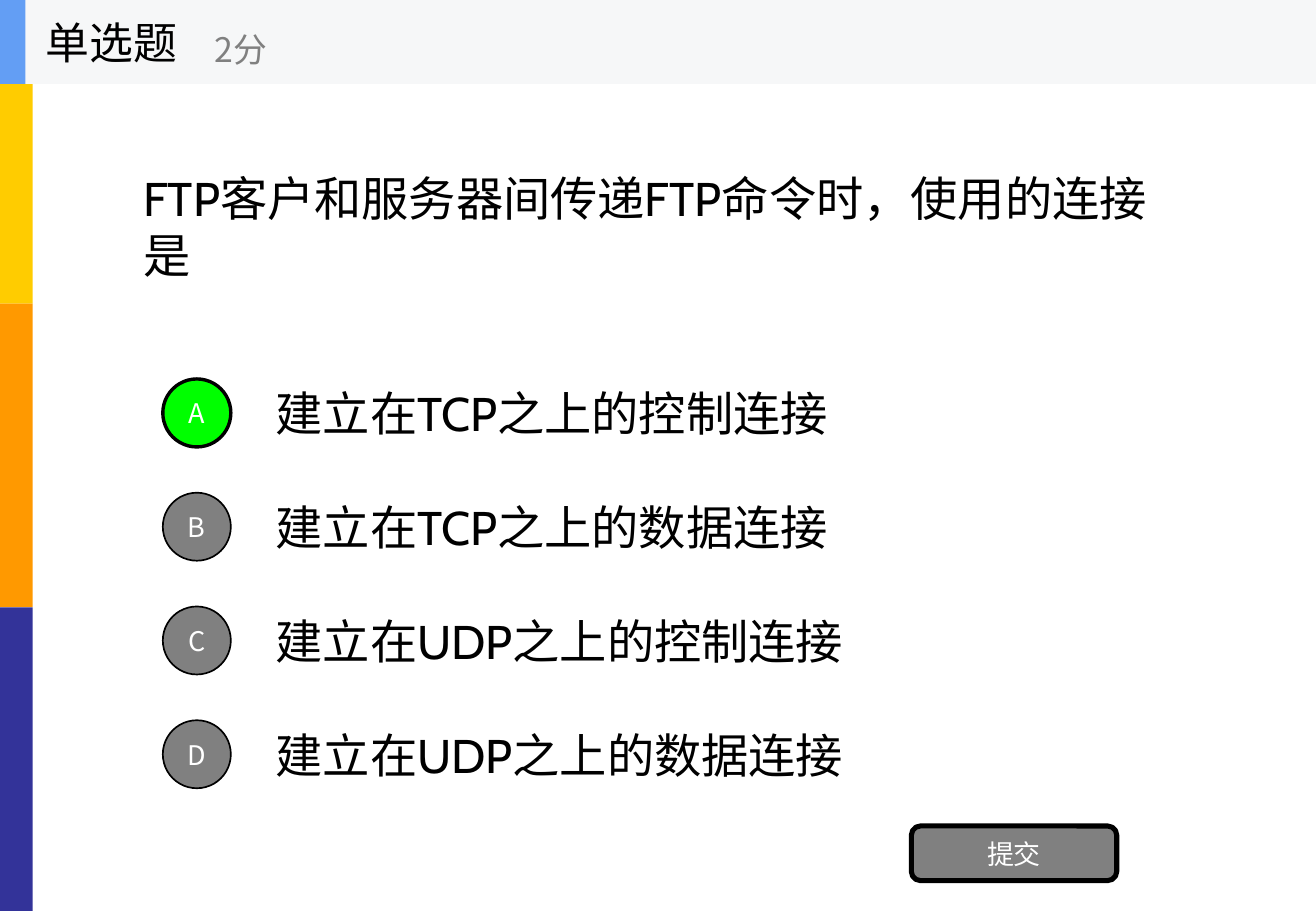
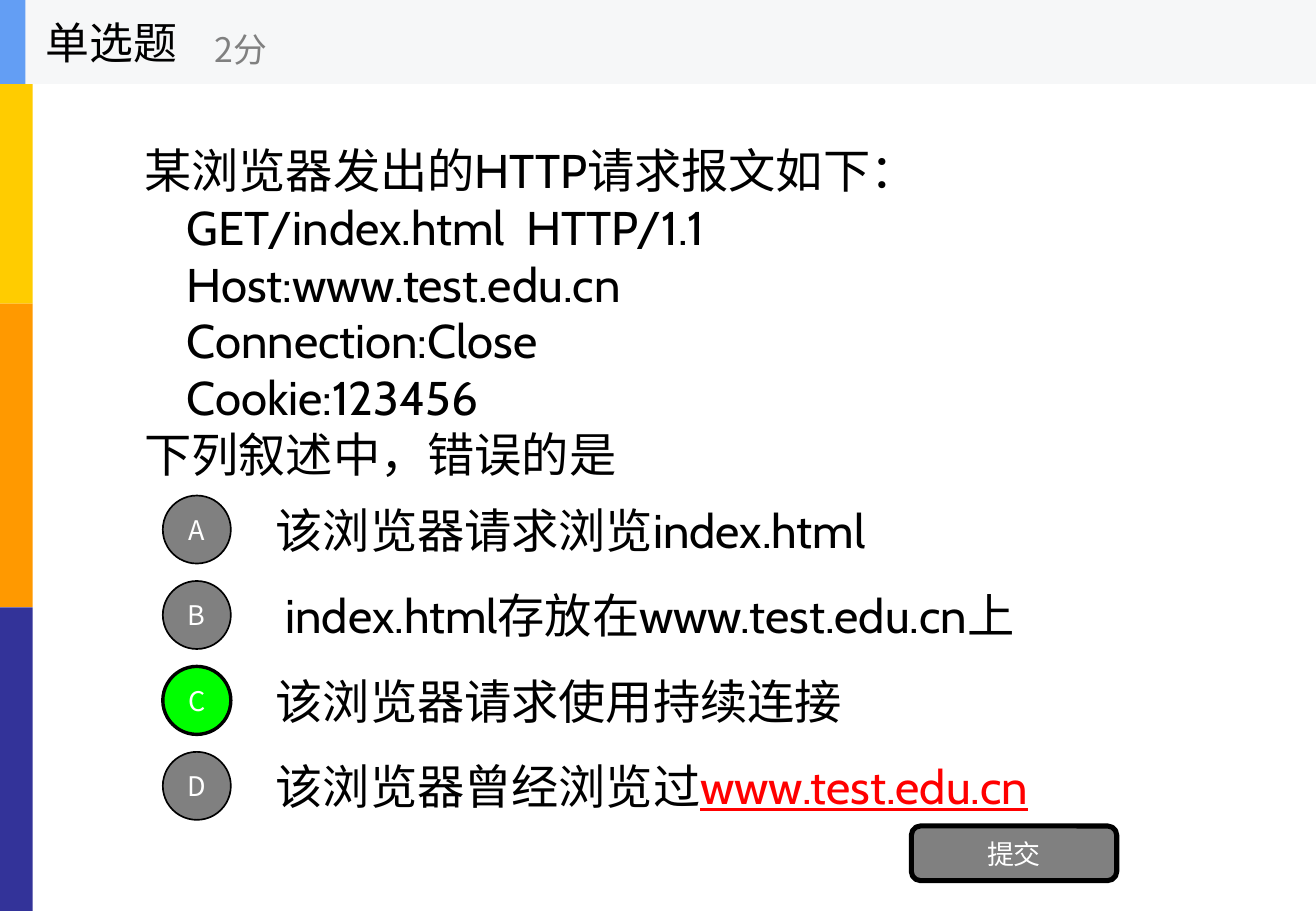
"""Builds two single-choice quiz slides on FTP and HTTP."""
from pptx import Presentation
from pptx.dml.color import RGBColor
from pptx.enum.shapes import MSO_SHAPE
from pptx.enum.text import MSO_ANCHOR, PP_ALIGN
from pptx.oxml.ns import qn
from pptx.util import Inches, Pt

BLACK = RGBColor(0x00, 0x00, 0x00)
WHITE = RGBColor(0xFF, 0xFF, 0xFF)
GRAY = RGBColor(0x80, 0x80, 0x80)
GREEN = RGBColor(0x00, 0xFF, 0x00)
RED = RGBColor(0xFF, 0x00, 0x00)
BLUE = RGBColor(0x63, 0x9E, 0xF4)
HEADER_BG = RGBColor(0xF6, 0xF7, 0xF8)
SIDE_BARS = [RGBColor(0xFF, 0xCC, 0x00), RGBColor(0xFF, 0x99, 0x00), RGBColor(0x33, 0x33, 0x99)]

SANS = "Noto Sans CJK SC"
BODY = {"name": "Cabin", "size": Pt(28), "color": BLACK}
LINK = {**BODY, "color": RED, "underline": True}
BUTTON = {"name": SANS, "size": Pt(16), "color": WHITE}
TITLE = {"name": SANS, "size": Pt(26), "color": BLACK}
POINTS = {"name": SANS, "size": Pt(20), "color": GRAY}

SLIDE_W, SLIDE_H = 10.83, 7.5
HEADER_H = 0.69
OPTION_H, CIRCLE = 0.7, 0.56
INSET = 0.1

QUIZZES = [
    {
        "question": ["FTP客户和服务器间传递FTP命令时，使用的连接是"],
        "box": (1.08, 0.69, 8.67, 2.34),
        "options": [
            [("建立在TCP之上的控制连接", BODY)],
            [("建立在TCP之上的数据连接", BODY)],
            [("建立在UDP之上的控制连接", BODY)],
            [("建立在UDP之上的数据连接", BODY)],
        ],
        "span": (3.05, 5.86),
        "answer": "A",
        "indents": {},
    },
    {
        "question": [
            "某浏览器发出的HTTP请求报文如下：",
            "    GET/index.html  HTTP/1.1",
            "    Host:www.test.edu.cn",
            "    Connection:Close",
            "    Cookie:123456",
            "下列叙述中，错误的是",
        ],
        "box": (1.09, 1.15, 8.67, 2.83),
        "options": [
            [("该浏览器请求浏览index.html", BODY)],
            [("index.html存放在www.test.edu.cn上", BODY)],
            [("该浏览器请求使用持续连接", BODY)],
            [("该浏览器曾经浏览过", BODY), ("www.test.edu.cn", LINK)],
        ],
        "span": (4.01, 6.12),
        "answer": "C",
        "indents": {"B": 0.08},
    },
]


def add_run(p, text, style):
    r = p.add_run()
    r.text = text
    for key, value in style.items():
        if key == "color":
            r.font.color.rgb = value
        else:
            setattr(r.font, key, value)
    ea = r.font._element.makeelement(qn("a:ea"), {"typeface": style["name"]})
    r.font._element.find(qn("a:latin")).addnext(ea)


def add_text(shapes, box, paragraphs, indent=0):
    tf = shapes.add_textbox(*map(Inches, box)).text_frame
    tf.word_wrap = True
    tf.vertical_anchor = MSO_ANCHOR.MIDDLE
    tf.margin_left = Inches(INSET + indent)
    for i, runs in enumerate(paragraphs):
        p = tf.add_paragraph() if i else tf.paragraphs[0]
        for text, style in runs:
            add_run(p, text, style)


def add_block(shapes, kind, box, fill, line=0, label=""):
    sp = shapes.add_shape(kind, *map(Inches, box))
    sp.shadow.inherit = False
    sp.fill.solid()
    sp.fill.fore_color.rgb = fill
    if line:
        sp.line.color.rgb = BLACK
        sp.line.width = Pt(line)
    else:
        sp.line.fill.background()
    if label:
        tf = sp.text_frame
        tf.margin_left = tf.margin_right = tf.margin_top = tf.margin_bottom = 0
        tf.vertical_anchor = MSO_ANCHOR.MIDDLE
        p = tf.paragraphs[0]
        p.alignment = PP_ALIGN.CENTER
        add_run(p, label, BUTTON)


def add_side_bars(shapes):
    h = SLIDE_H / len(SIDE_BARS)
    for i, color in enumerate(SIDE_BARS):
        add_block(shapes, MSO_SHAPE.RECTANGLE, (0, i * h, 0.27, h), color)


def add_header(shapes):
    group = shapes.add_group_shape().shapes
    for width, color in [(SLIDE_W, HEADER_BG), (0.21, BLUE)]:
        add_block(group, MSO_SHAPE.RECTANGLE, (0, 0, width, HEADER_H), color)
    add_text(group, (0.28, 0, 2.08, HEADER_H), [[("单选题", TITLE)]])
    add_text(group, (1.67, 0.12, 2.5, 0.56), [[("2分", POINTS)]])


def add_options(shapes, quiz):
    first, last = quiz["span"]
    step = (last - first) / (len(quiz["options"]) - 1)
    for i, (letter, runs) in enumerate(zip("ABCD", quiz["options"])):
        top = first + i * step
        add_text(shapes, (2.17, top, 7.58, OPTION_H), [runs], quiz["indents"].get(letter, 0))
        fill, line = (GREEN, 2) if letter == quiz["answer"] else (GRAY, 1)
        circle = (1.34, top + (OPTION_H - CIRCLE) / 2, CIRCLE, CIRCLE)
        add_block(shapes, MSO_SHAPE.OVAL, circle, fill, line, letter)


def main():
    prs = Presentation()
    prs.slide_width, prs.slide_height = Inches(SLIDE_W), Inches(SLIDE_H)
    for quiz in QUIZZES:
        shapes = prs.slides.add_slide(prs.slide_layouts[6]).shapes
        add_side_bars(shapes)
        add_text(shapes, quiz["box"], [[(line, BODY)] for line in quiz["question"]])
        add_options(shapes, quiz)
        add_block(shapes, MSO_SHAPE.ROUNDED_RECTANGLE, (7.5, 6.8, 1.69, 0.45), GRAY, 3, "提交")
        add_header(shapes)
    prs.save("out.pptx")


if __name__ == "__main__":
    main()
